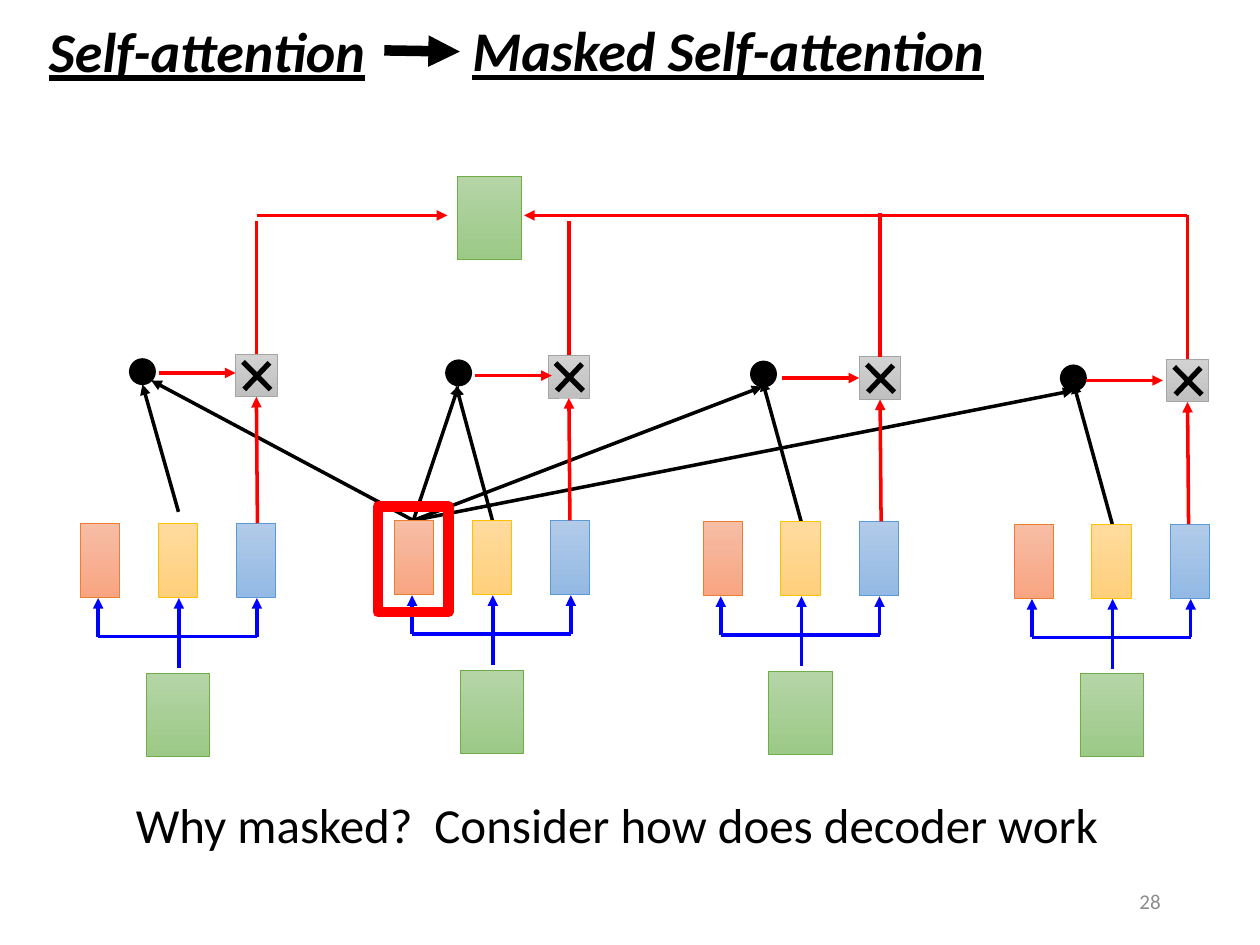
from collections import namedtuple

from lxml import etree
from pptx import Presentation
from pptx import util as u
from pptx.dml.color import RGBColor
from pptx.enum import shapes, text
from pptx.oxml import ns

BLACK = RGBColor(0x00, 0x00, 0x00)
RED = RGBColor(0xFF, 0x00, 0x00)
BLUE = RGBColor(0x00, 0x00, 0xFF)
GRAY = RGBColor(0x8C, 0x8C, 0x8C)
ORANGES = (RGBColor(0xF7, 0xBD, 0xA5), RGBColor(0xF8, 0xA5, 0x82), RGBColor(0xED, 0x7D, 0x31))
YELLOWS = (RGBColor(0xFF, 0xDB, 0x9E), RGBColor(0xFF, 0xD0, 0x7C), RGBColor(0xFF, 0xC0, 0x00))
BLUES = (RGBColor(0xB1, 0xCB, 0xE9), RGBColor(0x93, 0xB9, 0xE4), RGBColor(0x5B, 0x9B, 0xD5))
GREENS = (RGBColor(0xB5, 0xD5, 0xA7), RGBColor(0x9C, 0xC9, 0x87), RGBColor(0x70, 0xAD, 0x47))
GRAYS = (RGBColor(0xD2, 0xD2, 0xD2), RGBColor(0xC0, 0xC0, 0xC0), RGBColor(0xA5, 0xA5, 0xA5))

Token = namedtuple("Token", "x y gate_x gate_y dot_x dot_y arrow_x arrow_y riser_top")
TOKENS = [
    Token(46, 299, 134.6, 202.3, 74.2, 205.2, 90.7, 213.1, 126),
    Token(225.4, 297.4, 313.2, 203, 254.9, 205.9, 271.4, 214.6, 126),
    Token(401.8, 298, 491, 203.8, 429.1, 206.6, 447.1, 216, 121.7),
    Token(579.6, 299.5, 666.7, 205.2, 606.2, 208.8, 620.6, 217.4, 123.1),
]
QUERY_TIPS = [(81.4, 219.6), (260.6, 220.3), (435.6, 217.4), (613.4, 218.9)]
KEY_TIPS = [(86.4, 217.4), (262.1, 220.3), (435.6, 221), (613.4, 223.2)]
BAR_Y = 123.1


def line(s, start, end, color, width=2, arrow=False):
    sp = s.shapes.add_connector(shapes.MSO_CONNECTOR.STRAIGHT, *(u.Pt(v) for v in (*start, *end)))
    sp.line.color.rgb = color
    sp.line.width = u.Pt(width)
    if arrow:
        etree.SubElement(sp.line._get_or_add_ln(), ns.qn("a:tailEnd"), type="triangle")
    etree.SubElement(sp._element.spPr, ns.qn("a:effectLst"))


def shape(s, kind, x, y, w, h, color, width):
    sp = s.shapes.add_shape(kind, *(u.Pt(v) for v in (x, y, w, h)))
    sp.shadow.inherit = False
    sp.line.color.rgb = color
    sp.line.width = u.Pt(width)
    return sp


def block(s, x, y, w, h, colors):
    top, bottom, edge = colors
    sp = shape(s, shapes.MSO_SHAPE.RECTANGLE, x, y, w, h, edge, 0.5)
    sp.fill.gradient()
    sp.fill.gradient_angle = 270
    for stop, color in zip(sp.fill.gradient_stops, (top, bottom)):
        stop.color.rgb = color


def dot(s, x, y):
    sp = shape(s, shapes.MSO_SHAPE.OVAL, x, y, 14.4, 14.4, BLACK, 1)
    sp.fill.solid()
    sp.fill.fore_color.rgb = BLACK


def gate(s, x, y):
    block(s, x, y, 23.8, 24.5, GRAYS)
    line(s, (x + 4.3, y + 4.5), (x + 20, y + 20.3), BLACK, 3)
    line(s, (x + 19.4, y + 5), (x + 5, y + 20.2), BLACK, 3)


def label(s, box, words, size, color=BLACK, title=False, wrap=True, align=text.PP_ALIGN.LEFT):
    tf = s.shapes.add_textbox(*(u.Pt(v) for v in box)).text_frame
    tf.word_wrap = wrap
    p = tf.paragraphs[0]
    p.alignment = align
    r = p.add_run()
    r.text = words
    f = r.font
    f.name, f.size, f.color.rgb = "Calibri", u.Pt(size), color
    if title:
        f.bold = f.italic = f.underline = True
    return tf


def projections(s, t):
    for dx, colors in ((0, ORANGES), (44.4, YELLOWS), (89.2, BLUES)):
        block(s, t.x + dx, t.y, 22.5, 42.5, colors)
    left, mid, right = t.x + 10.1, t.x + 56.2, t.x + 100.8
    bar, tip = t.y + 64.8, t.y + 42.8
    line(s, (left, bar), (right, bar), BLUE)
    for x, bottom in ((left, bar), (mid, t.y + 82.7), (right, bar)):
        line(s, (x, bottom), (x, tip), BLUE, arrow=True)
    block(s, t.x + 37.6, t.y + 85.6, 36.4, 47.5, GREENS)


def weighting(s, t):
    dot(s, t.dot_x, t.dot_y)
    gate(s, t.gate_x, t.gate_y)
    x = t.gate_x + 11.9
    line(s, (x + 0.6, t.y), (x, t.gate_y + 24.5), RED, arrow=True)
    line(s, (x, t.gate_y), (x, t.riser_top), RED)
    line(s, (t.arrow_x, t.arrow_y), (t.arrow_x + 43.9, t.arrow_y), RED, arrow=True)


def main():
    prs = Presentation()
    prs.slide_width, prs.slide_height = u.Pt(720), u.Pt(540)
    s = prs.slides.add_slide(prs.slide_layouts[6])

    for t, query_tip, key_tip in zip(TOKENS, QUERY_TIPS, KEY_TIPS):
        line(s, (t.x + 56, t.y - (6.5 if t is TOKENS[0] else 0)), query_tip, BLACK, arrow=True)
        line(s, (236.2, 297.4), key_tip, BLACK, arrow=True)
    for t in TOKENS:
        projections(s, t)
        weighting(s, t)

    block(s, 261.4, 100.8, 36.4, 47.5, GREENS)
    line(s, (146.9, BAR_Y), (255.6, BAR_Y), RED, arrow=True)
    line(s, (678.2, BAR_Y), (299.5, BAR_Y), RED, arrow=True)
    shape(s, shapes.MSO_SHAPE.RECTANGLE, 216, 289.4, 40.3, 60.5, RED, 6).fill.background()

    label(s, (20.9, 5.8, 198.7, 46), "Self-attention", 32, title=True, wrap=False)
    label(s, (262.8, 5.4, 311, 46), "Masked Self-attention", 32, title=True, wrap=False)
    line(s, (219.6, 28.8), (262.8, 29.5), BLACK, 6, arrow=True)
    label(s, (70.6, 450.4, 393, 41), "Why masked?", 28)
    label(s, (241.2, 450.2, 455.8, 41), "Consider how does decoder work", 28)
    number = label(s, (508.3, 500.4, 162, 28.8), "28", 12, GRAY, align=text.PP_ALIGN.RIGHT)
    number.vertical_anchor = text.MSO_ANCHOR.MIDDLE

    prs.save("out.pptx")


if __name__ == "__main__":
    main()
